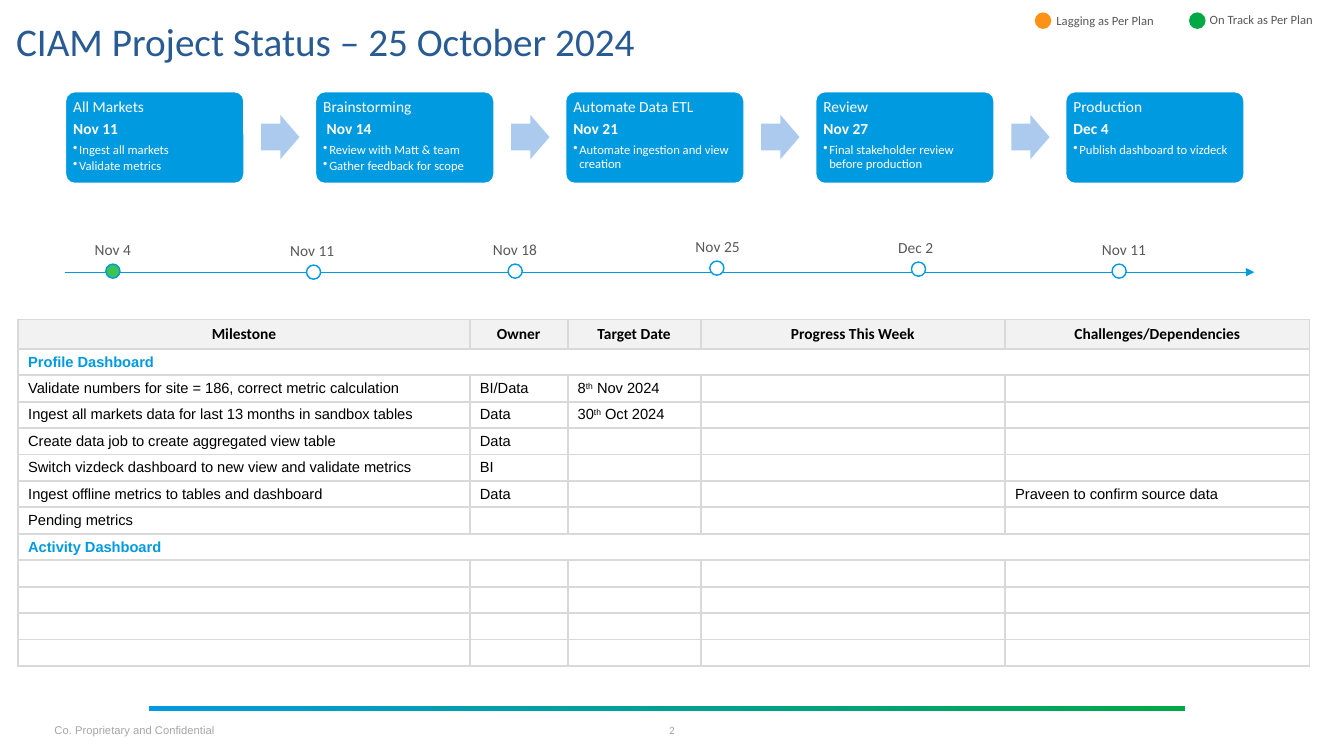
"""Builds the project status slide: milestone cards, timeline and task table."""
from lxml import etree
from pptx import Presentation
from pptx import util as u
from pptx.dml.color import RGBColor
from pptx.enum import shapes, text
from pptx.oxml import parse_xml
from pptx.oxml.ns import nsdecls, qn

BLUE = RGBColor(0x00, 0x9A, 0xE0)
NAVY = RGBColor(0x28, 0x5A, 0x93)
GREEN = RGBColor(0x00, 0xA8, 0x46)
LIME = RGBColor(0x3D, 0xC3, 0x53)
ORANGE = RGBColor(0xFC, 0x93, 0x18)
PALE_BLUE = RGBColor(0xAB, 0xCA, 0xED)
WHITE = RGBColor(0xFF, 0xFF, 0xFF)
BLACK = RGBColor(0x00, 0x00, 0x00)
SLATE = RGBColor(0x59, 0x59, 0x59)
GRAY = RGBColor(0xA6, 0xA6, 0xA6)
BORDER = RGBColor(0xD9, 0xD9, 0xD9)
HEADER_FILL = RGBColor(0xF2, 0xF2, 0xF2)

CENTER = text.PP_ALIGN.CENTER
LEFT = text.PP_ALIGN.LEFT
MIDDLE = text.MSO_ANCHOR.MIDDLE
TOP = text.MSO_ANCHOR.TOP
SHAPE = shapes.MSO_SHAPE

LEGEND = [
    ("Lagging as Per Plan", ORANGE, 10.27, 10.38, 0.08),
    ("On Track as Per Plan", GREEN, 11.8, 11.9, 0.07),
]
CARDS = [
    ("All Markets", "Nov 11", ["Ingest all markets", "Validate metrics"]),
    ("Brainstorming", " Nov 14", ["Review with Matt & team", "Gather feedback for scope"]),
    ("Automate Data ETL", "Nov 21", ["Automate ingestion and view creation"]),
    ("Review", "Nov 27", ["Final stakeholder review before production"]),
    ("Production", "Dec 4", ["Publish dashboard to vizdeck"]),
]
CARD_STEP = 2.48
TIMELINE = [
    ("Nov 4", 1.05, 2.62, 0.84, 0.56, LIME),
    ("Nov 11", 3.04, 2.63, 2.78, 0.64, WHITE),
    ("Nov 18", 5.04, 2.62, 4.79, 0.64, WHITE),
    ("Nov 25", 7.04, 2.59, 6.8, 0.64, WHITE),
    ("Dec 2", 9.04, 2.6, 8.81, 0.55, WHITE),
    ("Nov 11", 11.03, 2.62, 10.83, 0.64, WHITE),
]
COLUMNS = [("Milestone", 4.48), ("Owner", 0.97), ("Target Date", 1.32),
           ("Progress This Week", 3.02), ("Challenges/Dependencies", 3.02)]
SECTIONS = ["Profile Dashboard", "Activity Dashboard"]
TASKS = [
    [SECTIONS[0]],
    ["Validate numbers for site = 186, correct metric calculation", "BI/Data",
     ("8", "th", " Nov 2024")],
    ["Ingest all markets data for last 13 months in sandbox tables", "Data",
     ("30", "th", " Oct 2024")],
    ["Create data job to create aggregated view table", "Data"],
    ["Switch vizdeck dashboard to new view and validate metrics", "BI"],
    ["Ingest offline metrics to tables and dashboard", "Data", "", "",
     "Praveen to confirm source data"],
    ["Pending metrics"],
    [SECTIONS[1]],
    [], [], [], [],
]


def apply(target, values):
    """Set each attribute in values on the target."""
    for name, value in values.items():
        setattr(target, name, value)


def inches(*lengths):
    """Turn numbers into lengths."""
    return [u.Inches(length) for length in lengths]


def set_frame(frame, insets, anchor=TOP, wrap=True):
    """Set the insets, anchor and wrapping of a text frame."""
    sides = ("margin_left", "margin_top", "margin_right", "margin_bottom")
    apply(frame, dict(zip(sides, inches(*insets))))
    apply(frame, {"vertical_anchor": anchor, "word_wrap": wrap,
                  "auto_size": text.MSO_AUTO_SIZE.NONE})


def add_span(para, words, size, color, name="Calibri", bold=False):
    """Add a formatted run to a paragraph."""
    span = para.add_run()
    span.text = words
    apply(span.font, {"size": u.Pt(size), "name": name, "bold": bold})
    span.font.color.rgb = color
    return span


def add_label(slide, area, words, size, color, insets=(0.1, 0.05, 0.1, 0.05),
              anchor=TOP, wrap=True, align=LEFT, name="Calibri"):
    """Add a one-paragraph text box."""
    box = slide.shapes.add_textbox(*inches(*area))
    set_frame(box.text_frame, insets, anchor, wrap)
    para = box.text_frame.paragraphs[0]
    para.alignment = align
    add_span(para, words, size, color, name)


def add_figure(slide, kind, area, fill, line=None, adjustments=()):
    """Add a flat preset shape."""
    figure = slide.shapes.add_shape(kind, *inches(*area))
    figure.shadow.inherit = False
    figure.fill.solid()
    figure.fill.fore_color.rgb = fill
    if line is None:
        figure.line.fill.background()
    else:
        figure.line.color.rgb = line
        figure.line.width = u.Pt(1)
    for index, value in enumerate(adjustments):
        figure.adjustments[index] = value
    return figure


def add_title(slide, words):
    """Place and format the title placeholder."""
    title = slide.shapes.title
    apply(title, dict(zip(("left", "top", "width", "height"), inches(0.16, 0.09, 12.61, 0.51))))
    set_frame(title.text_frame, (0, 0.2, 0, 0), MIDDLE)
    para = title.text_frame.paragraphs[0]
    apply(para, {"alignment": LEFT, "line_spacing": 0.8})
    add_span(para, words, 28, NAVY)


def add_footer(slide):
    """Add the gradient rule, the notice and the page number."""
    rule = add_figure(slide, SHAPE.RECTANGLE, (1.48, 7, 10.27, 0.05), BLUE)
    rule.fill.gradient()
    rule.fill.gradient_angle = 0
    for stop, color in zip(rule.fill.gradient_stops, (BLUE, GREEN)):
        stop.color.rgb = color
    flat = {"insets": (0, 0, 0, 0), "anchor": MIDDLE}
    add_label(slide, (6.48, 7.13, 0.37, 0.23), "2", 8, GRAY, align=CENTER, **flat)
    add_label(slide, (0.54, 7.13, 1.61, 0.23), "Co. Proprietary and Confidential", 8, GRAY,
              name="Arial", **flat)


def add_bullet(para):
    """Give a paragraph a hanging bullet."""
    properties = para._p.get_or_add_pPr()
    properties.set("marL", str(u.Inches(0.06)))
    properties.set("indent", str(u.Inches(-0.06)))
    etree.SubElement(properties, qn("a:buChar")).set("char", "•")


def add_card(slide, left, heading, date, notes):
    """Add a milestone card with its heading, date and bullets."""
    card = add_figure(slide, SHAPE.ROUNDED_RECTANGLE, (left, 0.91, 1.77, 0.91), BLUE, WHITE, [0.1])
    frame = card.text_frame
    set_frame(frame, (0.05, 0.05, 0.05, 0.05))
    lines = [(heading, 11, False, 4), (date, 11, True, 4)]
    lines += [(note, 9, False, 1.35) for note in notes]
    for index, (words, size, bold, after) in enumerate(lines):
        para = frame.add_paragraph() if index else frame.paragraphs[0]
        apply(para, {"alignment": LEFT, "line_spacing": 0.9, "space_after": u.Pt(after)})
        if index > 1:
            add_bullet(para)
        add_span(para, words, size, WHITE, bold=bold)


def add_timeline(slide):
    """Add the arrow line with its dated dots."""
    axis = slide.shapes.add_connector(shapes.MSO_CONNECTOR.STRAIGHT,
                                      *inches(0.64, 2.7, 12.44, 2.7))
    axis.line.color.rgb = BLUE
    axis.line.width = u.Pt(0.5)
    etree.SubElement(axis.line._get_or_add_ln(), qn("a:tailEnd")).set("type", "triangle")
    etree.SubElement(axis._element.spPr, qn("a:effectLst"))
    for date, left, top, label_left, width, fill in TIMELINE:
        add_figure(slide, SHAPE.OVAL, (left, top, 0.14, 0.14), fill, BLUE)
        add_label(slide, (label_left, top - 0.29, width, 0.29), date, 11, SLATE, wrap=False)


def fill_cell(cell, words, size, color, name, bold, fill, align):
    """Write one table cell, with every second part of a tuple raised."""
    for side in "LRTB":
        cell._tc.get_or_add_tcPr().append(parse_xml(
            f'<a:ln{side} {nsdecls("a")} w="{u.Pt(1.5)}"><a:solidFill>'
            f'<a:srgbClr val="{BORDER}"/></a:solidFill></a:ln{side}>'))
    cell.fill.solid()
    cell.fill.fore_color.rgb = fill
    apply(cell, {"vertical_anchor": MIDDLE, "margin_top": u.Inches(0.03),
                 "margin_bottom": u.Inches(0.03)})
    para = cell.text_frame.paragraphs[0]
    para.alignment = align
    for index, part in enumerate(words if isinstance(words, tuple) else (words,)):
        if part:
            span = add_span(para, part, size, color, name, bold)
            if index % 2:
                span.font._element.set("baseline", "30000")
    etree.SubElement(para._p, qn("a:endParaRPr")).set("sz", str(int(size * 100)))


def add_task_table(slide):
    """Add the table of tasks under its two section rows."""
    table = slide.shapes.add_table(len(TASKS) + 1, len(COLUMNS),
                                   *inches(0.18, 3.17, 12.81, 3.44)).table
    apply(table, {"first_row": False, "horz_banding": False})
    for column, (heading, width) in zip(table.columns, COLUMNS):
        column.width = u.Inches(width)
    for index, row in enumerate(table.rows):
        row.height = u.Inches(3.15 / len(TASKS) if index else 0.29)
    for cell, (heading, width) in zip(table.rows[0].cells, COLUMNS):
        fill_cell(cell, heading, 11, BLACK, "Calibri", True, HEADER_FILL, CENTER)
    for index, task in enumerate(TASKS, 1):
        section = bool(task) and task[0] in SECTIONS
        values = task + [""] * (len(COLUMNS) - len(task))
        for cell, words in zip(table.rows[index].cells, values):
            fill_cell(cell, words, 10.5, BLUE if section else BLACK, "Arial", section, WHITE, LEFT)
        if section:
            table.cell(index, 0).merge(table.cell(index, len(COLUMNS) - 1))


def main():
    """Build and save the deck."""
    deck = Presentation()
    apply(deck, {"slide_width": u.Inches(13.33), "slide_height": u.Inches(7.5)})
    slide = deck.slides.add_slide(deck.slide_layouts[5])
    add_footer(slide)
    add_title(slide, "CIAM Project Status – 25 October 2024")
    add_task_table(slide)
    for words, color, left, label_left, label_top in LEGEND:
        add_figure(slide, SHAPE.FLOWCHART_CONNECTOR, (left, 0.13, 0.15, 0.15), color, color)
        add_label(slide, (label_left, label_top, 1.27, 0.25), words, 9, SLATE)
    for index, card in enumerate(CARDS):
        add_card(slide, 0.65 + index * CARD_STEP, *card)
        if index:
            add_figure(slide, SHAPE.RIGHT_ARROW, (0.11 + index * CARD_STEP, 1.14, 0.38, 0.44),
                       PALE_BLUE, adjustments=[0.6, 0.5])
    add_timeline(slide)
    deck.save("out.pptx")


if __name__ == "__main__":
    main()
